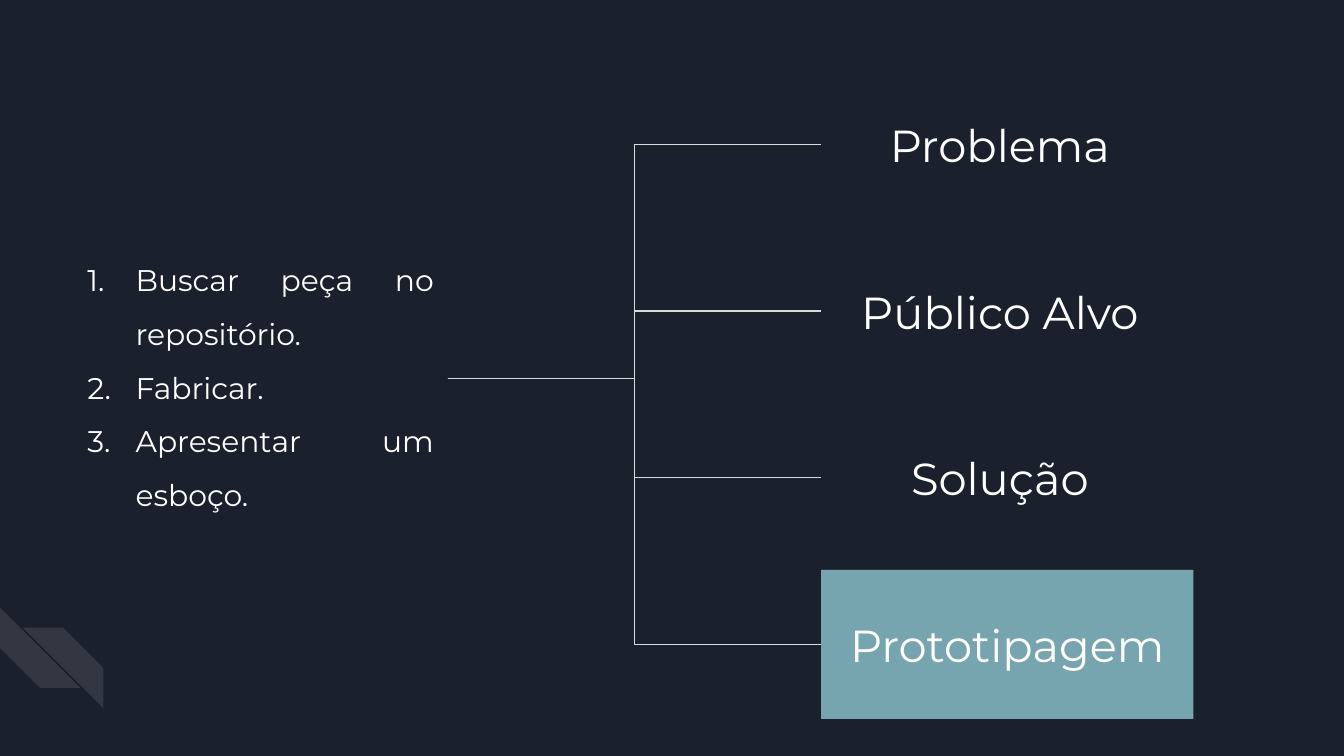
"""Build a slide that links a list of steps to four project stages."""
from dataclasses import dataclass

from lxml import etree
from pptx import Presentation
from pptx import util as u
from pptx.dml.color import RGBColor
from pptx.enum import shapes, text
from pptx.oxml import ns

FONT = "Montserrat"
WHITE = "FFFFFF"
STEPS = ("Buscar peça no repositório.", "Fabricar.", "Apresentar um esboço.")


@dataclass
class Stage:
    name: str
    width: float = 2.66
    fill: str | None = None


@dataclass
class Stripe:
    left: float
    top: float
    rotation: int = 0
    flipped: bool = False


STAGES = (
    Stage("Problema"),
    Stage("Público Alvo"),
    Stage("Solução"),
    Stage("Prototipagem", 2.77, "76A5AF"),
)
STRIPES = (Stripe(0, 4.52, rotation=270), Stripe(0.17, 4.67, flipped=True))


def paint(fmt, color: str) -> None:
    fmt.solid()
    fmt.fore_color.rgb = RGBColor.from_string(color)


def apply(obj, values: dict) -> None:
    for name, value in values.items():
        setattr(obj, name, value)


def add_child(parent, tag: str, **attrs: str):
    return etree.SubElement(parent, ns.qn(tag), attrs)


def format_frame(tf) -> None:
    margins = dict.fromkeys(
        ("margin_left", "margin_top", "margin_right", "margin_bottom"), u.Inches(0.1))
    apply(tf, {"word_wrap": True, "auto_size": text.MSO_AUTO_SIZE.NONE,
               "vertical_anchor": text.MSO_ANCHOR.MIDDLE, **margins})


def write(p, words: str, size: int, align) -> None:
    r = p.add_run()
    r.text = words
    apply(r.font, {"name": FONT, "size": u.Pt(size)})
    paint(r.font.fill, WHITE)
    apply(p, {"alignment": align, "space_before": u.Pt(0)})


def number(p) -> None:
    pPr = p._p.get_or_add_pPr()
    pPr.set("marL", str(u.Inches(0.5)))
    pPr.set("indent", str(u.Inches(-0.36)))
    add_child(add_child(pPr, "a:buClr"), "a:srgbClr", val=WHITE)
    add_child(pPr, "a:buAutoNum", type="arabicPeriod")


def draw_stripe(s, stripe: Stripe) -> None:
    sp = s.shapes.add_shape(
        shapes.MSO_SHAPE.DIAGONAL_STRIPE, u.Inches(stripe.left),
        u.Inches(stripe.top), u.Inches(0.6), u.Inches(0.6))
    sp.rotation = stripe.rotation
    sp.shadow.inherit = False
    sp.line.fill.background()
    paint(sp.fill, WHITE)
    color = sp._element.spPr.find(".//" + ns.qn("a:srgbClr"))
    add_child(color, "a:alpha", val="10000")
    if stripe.flipped:
        sp._element.spPr.xfrm.set("flipH", "1")


def draw_stage(s, stage: Stage, top: float):
    sp = s.shapes.add_shape(
        shapes.MSO_SHAPE.RECTANGLE, u.Inches(6.11), u.Inches(top),
        u.Inches(stage.width), u.Inches(1.11))
    sp.shadow.inherit = False
    sp.line.fill.background()
    if stage.fill:
        paint(sp.fill, stage.fill)
    else:
        sp.fill.background()
    format_frame(sp.text_frame)
    write(sp.text_frame.paragraphs[0], stage.name, 24, text.PP_ALIGN.CENTER)
    return sp


def draw_steps(sp) -> None:
    apply(sp, {"left": u.Inches(0.41), "top": u.Inches(1.41),
               "width": u.Inches(2.92), "height": u.Inches(2.81)})
    tf = sp.text_frame
    format_frame(tf)
    for i, step in enumerate(STEPS):
        p = tf.add_paragraph() if i else tf.paragraphs[0]
        number(p)
        write(p, step, 16, text.PP_ALIGN.JUSTIFY)
        p.line_spacing = 1.5


def join(s, start, end) -> None:
    line = s.shapes.add_connector(shapes.MSO_CONNECTOR.ELBOW, 0, 0, 0, 0)
    line.begin_connect(start, 3)
    line.end_connect(end, 1)
    line.line.width = u.Pt(0.75)
    paint(line.line.fill, "D9D9D9")
    add_child(line._element.spPr, "a:effectLst")


def main() -> None:
    prs = Presentation()
    width = u.Inches(10)
    apply(prs, {"slide_width": width, "slide_height": width * 9 // 16})
    s = prs.slides.add_slide(prs.slide_layouts[1])
    paint(s.background.fill, "1B212C")
    title = s.shapes.title._element
    title.getparent().remove(title)
    for stripe in STRIPES:
        draw_stripe(s, stripe)
    steps = s.placeholders[1]
    draw_steps(steps)
    for i, stage in enumerate(STAGES):
        join(s, steps, draw_stage(s, stage, 0.52 + 1.24 * i))
    prs.save("out.pptx")


if __name__ == "__main__":
    main()
